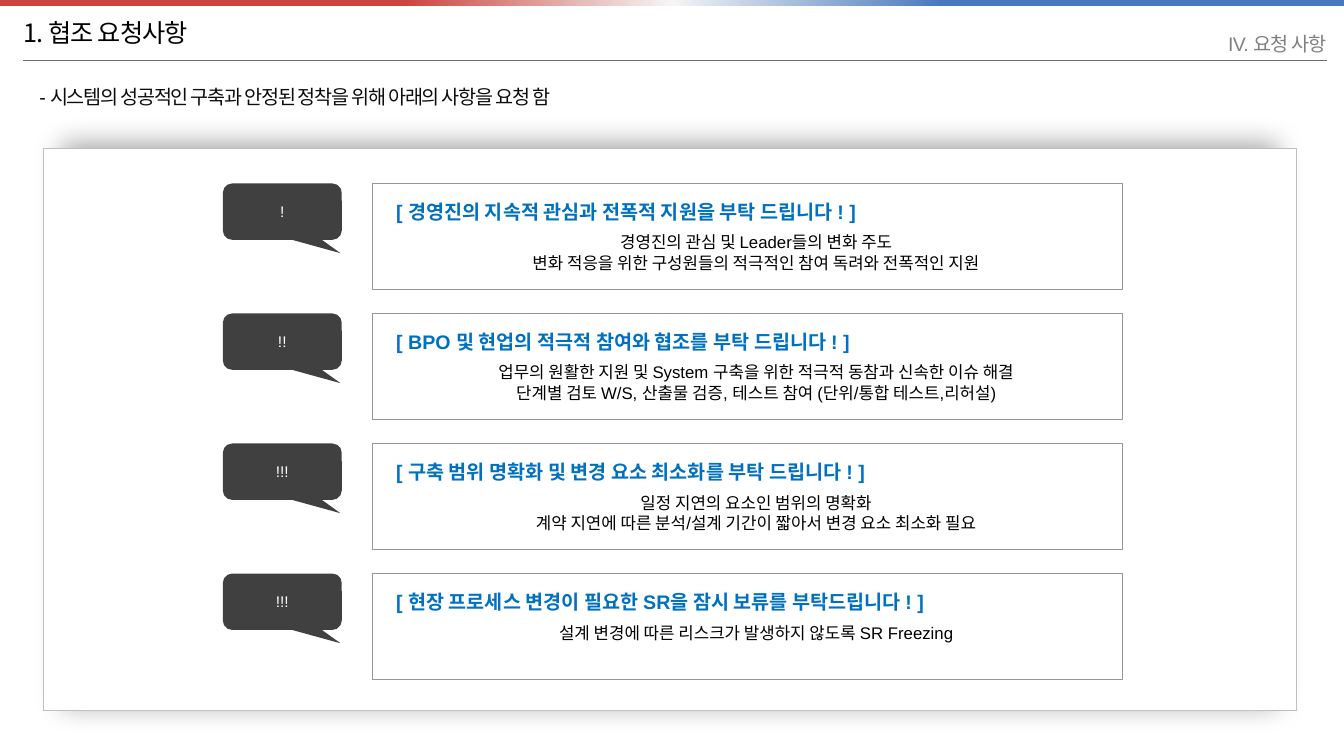
from copy import deepcopy

from lxml import etree
from pptx import Presentation
from pptx.dml.color import RGBColor
from pptx.enum.shapes import MSO_CONNECTOR, MSO_SHAPE
from pptx.enum.text import MSO_ANCHOR, MSO_AUTO_SIZE, PP_ALIGN
from pptx.oxml import parse_xml
from pptx.oxml.ns import nsdecls, qn
from pptx.util import Inches, Pt

RECTANGLE = MSO_SHAPE.RECTANGLE
CALLOUT = MSO_SHAPE.ROUNDED_RECTANGULAR_CALLOUT
LEFT, CENTER, RIGHT = PP_ALIGN.LEFT, PP_ALIGN.CENTER, PP_ALIGN.RIGHT
MIDDLE = MSO_ANCHOR.MIDDLE

BLACK = RGBColor(0x00, 0x00, 0x00)
NEAR_BLACK = RGBColor(0x0D, 0x0D, 0x0D)
WHITE = RGBColor(0xFF, 0xFF, 0xFF)
DARK_GRAY = RGBColor(0x40, 0x40, 0x40)
RULE_GRAY = RGBColor(0x6E, 0x6E, 0x6E)
CHAPTER_GRAY = RGBColor(0x80, 0x80, 0x80)
BOX_GRAY = RGBColor(0x96, 0x96, 0x96)
PANEL_GRAY = RGBColor(0xBF, 0xBF, 0xBF)
BLUE = RGBColor(0x00, 0x70, 0xC0)
BAR_STOPS = [(0.3, RGBColor(0xCB, 0x44, 0x3D)),
             (0.5, RGBColor(0xF5, 0xF5, 0xF5)),
             (0.7, RGBColor(0x48, 0x79, 0xBE))]

KOREAN_FONT = "Noto Sans CJK KR"

REQUESTS = [
    ("!", "[ 경영진의 지속적 관심과 전폭적 지원을 부탁 드립니다 ! ]",
     ["경영진의 관심 및 Leader들의 변화 주도",
      "변화 적응을 위한 구성원들의 적극적인 참여 독려와 전폭적인 지원"]),
    ("!!", "[ BPO 및 현업의 적극적 참여와 협조를 부탁 드립니다 ! ]",
     ["업무의 원활한 지원 및 System 구축을 위한 적극적 동참과 신속한 이슈 해결",
      "단계별 검토 W/S, 산출물 검증, 테스트 참여 (단위/통합 테스트,리허설)"]),
    ("!!!", "[ 구축 범위 명확화 및 변경 요소 최소화를 부탁 드립니다 ! ]",
     ["일정 지연의 요소인 범위의 명확화",
      "계약 지연에 따른 분석/설계 기간이 짧아서 변경 요소 최소화 필요"]),
    ("!!!", "[ 현장 프로세스 변경이 필요한 SR을 잠시 보류를 부탁드립니다 ! ]",
     ["설계 변경에 따른 리스크가 발생하지 않도록 SR Freezing"]),
]


def write(para, text, size, color, align=LEFT, font="Arial", bold=False, spacing=0):
    para.text = text
    para.alignment = align
    for span in para.runs:
        span.font.size = Pt(size)
        span.font.name = font
        span.font.bold = bold
        span.font.color.rgb = color
        props = span.font._element
        etree.SubElement(props, qn("a:ea")).set("typeface", KOREAN_FONT)
        if spacing:
            props.set("spc", str(spacing))


def add_box(kind, left, top, width, height, fill, line=None, line_width=0.5):
    box = page.shapes.add_shape(kind, Inches(left), Inches(top), Inches(width), Inches(height))
    box.shadow.inherit = False
    box.fill.solid()
    box.fill.fore_color.rgb = fill
    if line is None:
        box.line.fill.background()
    else:
        box.line.color.rgb = line
        box.line.width = Pt(line_width)
    return box


deck = Presentation()
deck.slide_width = Inches(13.33)
deck.slide_height = Inches(7.5)
page = deck.slides.add_slide(deck.slide_layouts[5])

# Header rule and gradient bar
rule = page.shapes.add_connector(MSO_CONNECTOR.STRAIGHT, Inches(0.23), Inches(0.6),
                                 Inches(13.16), Inches(0.6))
rule.line.color.rgb = RULE_GRAY
rule.line.width = Pt(0.5)
etree.SubElement(rule._element.spPr, qn("a:effectLst"))

bar = add_box(RECTANGLE, 0, -0.01, 13.33, 0.07, WHITE)
bar.fill.gradient()
bar.fill.gradient_angle = 0
stop_list = bar._element.spPr.find(".//" + qn("a:gsLst"))
stop_list.append(deepcopy(stop_list[0]))
for stop, (position, color) in zip(bar.fill.gradient_stops, BAR_STOPS):
    stop.position = position
    stop.color.rgb = color

# Title, lead sentence and chapter name
title = page.shapes.title
title.left, title.top = Inches(0.23), Inches(0.11)
title.width, title.height = Inches(7.44), Inches(0.42)
lead = page.shapes.add_textbox(Inches(0.39), Inches(0.66), Inches(12.58), Inches(0.6))
chapter = page.shapes.add_textbox(Inches(7.67), Inches(0.33), Inches(5.49), Inches(0.2))
for box in (title, lead, chapter):
    frame = box.text_frame
    frame.auto_size = MSO_AUTO_SIZE.NONE
    frame.word_wrap = True
    frame.vertical_anchor = MIDDLE
    frame.margin_left = frame.margin_right = frame.margin_top = frame.margin_bottom = 0
write(title.text_frame.paragraphs[0], "1. 협조 요청사항", 18, BLACK,
      font=KOREAN_FONT, spacing=-60)
write(lead.text_frame.paragraphs[0],
      "- 시스템의 성공적인 구축과 안정된 정착을 위해 아래의 사항을 요청 함",
      14, NEAR_BLACK, spacing=-90)
write(chapter.text_frame.paragraphs[0], "IV. 요청 사항", 14, CHAPTER_GRAY, RIGHT, spacing=-60)

# Panel with a soft shadow
panel = add_box(MSO_SHAPE.ROUNDED_RECTANGLE, 0.43, 1.47, 12.43, 5.58, WHITE, PANEL_GRAY)
panel.adjustments[0] = 0
panel._element.spPr.find(qn("a:effectLst")).append(parse_xml(
    f'<a:outerShdw {nsdecls("a")} blurRad="254000" dist="38100" dir="16200000" '
    'sx="97000" sy="100000" algn="ctr" rotWithShape="0"><a:srgbClr val="000000">'
    '<a:alpha val="35000"/></a:srgbClr></a:outerShdw>'))

# Requests: a callout and a text box per row
for row, (mark, heading, details) in enumerate(REQUESTS):
    top = 1.82 + 1.29 * row
    callout = add_box(CALLOUT, 2.21, top, 1.18, 0.56, DARK_GRAY)
    for index, value in enumerate((0.489, 0.736, 0.167)):
        callout.adjustments[index] = value
    callout.text_frame.vertical_anchor = MIDDLE
    write(callout.text_frame.paragraphs[0], mark, 11, WHITE, CENTER)

    request = add_box(RECTANGLE, 3.69, top, 7.44, 1.05, WHITE, BOX_GRAY, 0.25)
    frame = request.text_frame
    frame.word_wrap = True
    frame.vertical_anchor = MIDDLE
    frame.margin_left, frame.margin_right = Inches(0.24), Inches(0.06)
    frame.margin_top = Inches(0.05)
    # A single detail line keeps the heading level with the other rows
    frame.margin_bottom = Inches(0.05 + 0.2 * (2 - len(details)))
    write(frame.paragraphs[0], heading, 14, BLUE, bold=True)
    for index, detail in enumerate(details):
        para = frame.add_paragraph()
        write(para, detail, 12, BLACK, CENTER)
        para.space_before = Pt(0 if index else 6)

deck.save("out.pptx")
